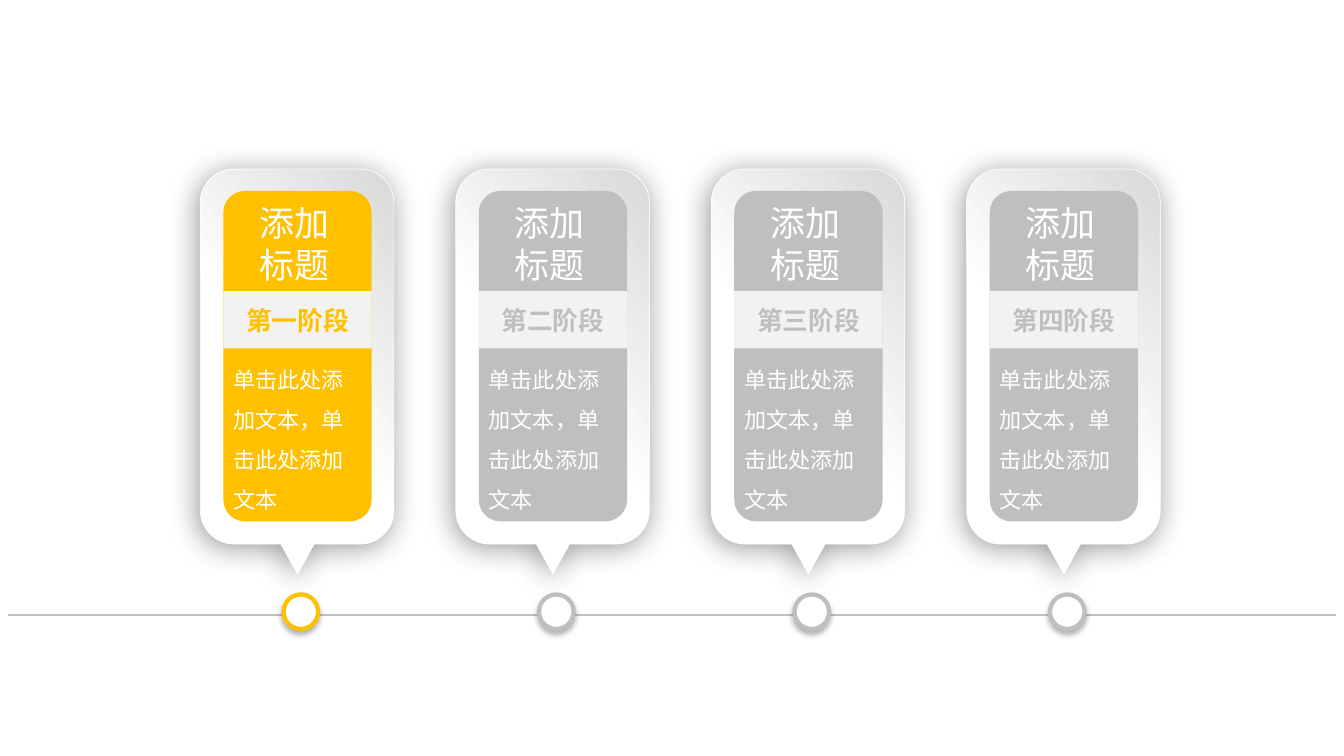
from lxml import etree
from pptx import Presentation
from pptx import util as u
from pptx.dml.color import RGBColor
from pptx.enum import shapes, text
from pptx.oxml.ns import qn

FONT = "Noto Sans CJK SC"
WHITE, GOLD, GREY = "FFFFFF", "FFC000", "BFBFBF"
STAGES = [("第一阶段", GOLD), ("第二阶段", GREY), ("第三阶段", GREY), ("第四阶段", GREY)]
FIRST_LEFT, PITCH = 5.05, 6.44
CARD_TOP, CARD_WIDTH, CARD_BOTTOM, RADIUS = 4.26, 4.88, 13.71, 0.85
TAIL_X, TAIL_HALF, TAIL_TIP = 2.45, 0.42, 14.46
ROUND = 0.55  # Bezier handle length for a quarter circle


def style(shape, fill=None, line=None, width=0, shadow=None):
    """Set fill, outline and shadow (opacity %, blur pt, distance pt, degrees)."""
    shape.shadow.inherit = False
    if fill:
        shape.fill.solid()
        shape.fill.fore_color.rgb = RGBColor.from_string(fill)
    if line:
        shape.line.color.rgb = RGBColor.from_string(line)
        shape.line.width = u.Pt(width)
    else:
        shape.line.fill.background()
    if shadow:
        opacity, blur, distance, angle = shadow
        effects = shape._element.spPr.find(qn("a:effectLst"))
        outer = etree.SubElement(effects, qn("a:outerShdw"), blurRad=str(u.Pt(blur)),
                                 dist=str(u.Pt(distance)), dir=str(angle * 60000),
                                 algn="ctr", rotWithShape="0")
        colour = etree.SubElement(outer, qn("a:srgbClr"), val="000000")
        etree.SubElement(colour, qn("a:alpha"), val=str(opacity * 1000))


def write(shape, words, size, colour, bold=False, align=text.PP_ALIGN.CENTER):
    """Put one paragraph into a shape and return the paragraph."""
    shape.text_frame.word_wrap = True
    para = shape.text_frame.paragraphs[0]
    para.text = words
    para.alignment = align
    para.font.size = u.Pt(size)
    para.font.bold = bold
    para.font.color.rgb = RGBColor.from_string(colour)
    para.font.name = FONT
    etree.SubElement(para._p.pPr.find(qn("a:defRPr")), qn("a:ea"), typeface=FONT)
    return para


deck = Presentation()
deck.slide_width, deck.slide_height = u.Cm(33.88), u.Cm(19.05)
page = deck.slides.add_slide(deck.slide_layouts[6])

# Timeline
timeline = page.shapes.add_connector(shapes.MSO_CONNECTOR.STRAIGHT,
                                     u.Cm(0.2), u.Cm(15.5), u.Cm(33.68), u.Cm(15.5))
timeline.line.color.rgb = RGBColor.from_string("C0C0C0")
timeline.line.width = u.Pt(1.5)
etree.SubElement(timeline._element.spPr, qn("a:effectLst"))

for index, (stage, colour) in enumerate(STAGES):
    left = FIRST_LEFT + index * PITCH

    # Timeline marker
    marker = page.shapes.add_shape(shapes.MSO_SHAPE.OVAL, u.Cm(left + 2.1), u.Cm(14.98),
                                   u.Cm(0.87), u.Cm(0.87))
    style(marker, WHITE, colour, 3, (29, 4, 3, 90))

    # Card outline, clockwise from the top left, with a tail below
    card = page.shapes.add_group_shape().shapes
    right, tail = left + CARD_WIDTH, left + TAIL_X
    near_x, far_x = left + RADIUS, right - RADIUS
    near_y, far_y = CARD_TOP + RADIUS, CARD_BOTTOM - RADIUS
    outline = [(near_x, CARD_TOP), (far_x, CARD_TOP), (right, near_y), (right, far_y),
               (far_x, CARD_BOTTOM), (tail + TAIL_HALF, CARD_BOTTOM), (tail, TAIL_TIP),
               (tail - TAIL_HALF, CARD_BOTTOM), (near_x, CARD_BOTTOM), (left, far_y),
               (left, near_y), (near_x, CARD_TOP)]
    points = [(u.Cm(x), u.Cm(y)) for x, y in outline]
    builder = card.build_freeform(*points[0])
    builder.add_line_segments(points[1:], close=True)
    frame = builder.convert_to_shape()

    # Round the corners: each corner segment becomes a Bezier curve
    segments = list(frame._element.iter(qn("a:lnTo")))
    for end, sideways_first in [(1, True), (3, False), (8, True), (10, False)]:
        (x1, y1), (x2, y2) = [(int(segments[i][0].get("x")), int(segments[i][0].get("y")))
                              for i in (end - 1, end)]
        corner_x, corner_y = (x2, y1) if sideways_first else (x1, y2)
        segments[end].tag = qn("a:cubicBezTo")
        for place, (x, y) in enumerate([(x1, y1), (x2, y2)]):
            handle = etree.Element(qn("a:pt"), x=str(round(x + ROUND * (corner_x - x))),
                                   y=str(round(y + ROUND * (corner_y - y))))
            segments[end].insert(place, handle)

    style(frame, line=WHITE, width=0.5, shadow=(40, 21, 3, 135))
    frame.fill.gradient()
    frame.fill.gradient_angle = 40
    for stop, (position, shade) in zip(frame.fill.gradient_stops,
                                       [(0.45, WHITE), (1, "D9D9D9")]):
        stop.position = position
        stop.color.rgb = RGBColor.from_string(shade)

    # Coloured panel and stage ribbon
    panel = card.add_shape(shapes.MSO_SHAPE.ROUNDED_RECTANGLE, u.Cm(left + 0.58),
                           u.Cm(4.81), u.Cm(3.74), u.Cm(8.33))
    panel.adjustments[0] = 0.146
    style(panel, colour)
    ribbon = card.add_shape(shapes.MSO_SHAPE.RECTANGLE, u.Cm(left + 0.58), u.Cm(7.34),
                            u.Cm(3.74), u.Cm(1.44))
    style(ribbon, "F2F2F2")
    ribbon.text_frame.vertical_anchor = text.MSO_ANCHOR.MIDDLE
    write(ribbon, stage, 18.4, colour, bold=True)

    # Heading and description
    heading = card.add_textbox(u.Cm(left + 1.01), u.Cm(4.95), u.Cm(2.72), u.Cm(2.39))
    write(heading, "添加标题", 25, WHITE)
    body = card.add_textbox(u.Cm(left + 0.58), u.Cm(8.78), u.Cm(3.74), u.Cm(4.32))
    para = write(body, "单击此处添加文本，单击此处添加文本", 15.8, WHITE,
                 align=text.PP_ALIGN.LEFT)
    para.line_spacing = 1.5
    for box in (heading, body):
        box.text_frame.auto_size = text.MSO_AUTO_SIZE.SHAPE_TO_FIT_TEXT

deck.save("out.pptx")
